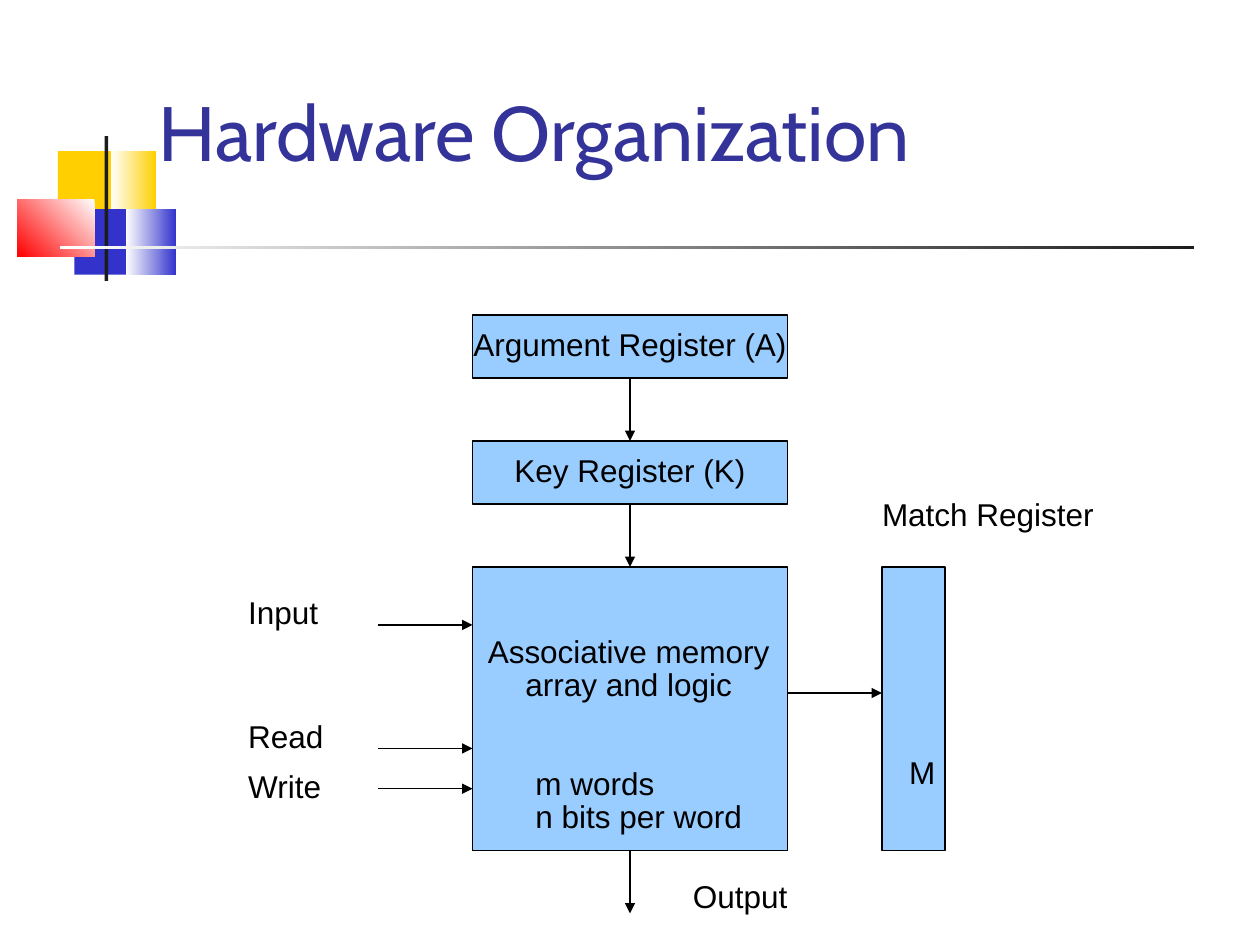
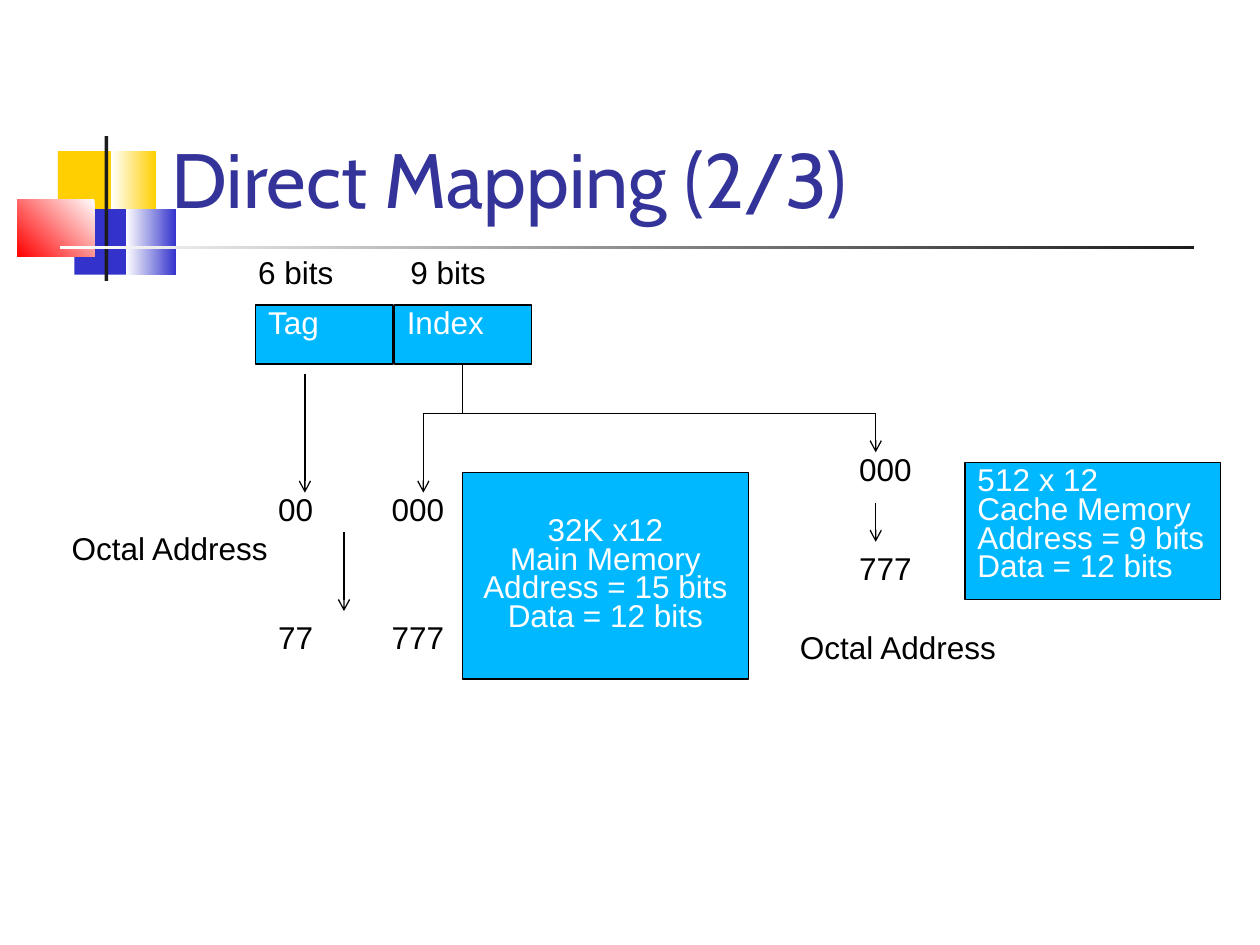
from dataclasses import dataclass

from pptx import Presentation
from pptx.dml.color import RGBColor
from pptx.enum.shapes import MSO_CONNECTOR, MSO_SHAPE
from pptx.enum.text import MSO_ANCHOR, MSO_AUTO_SIZE, PP_ALIGN
from pptx.oxml.ns import qn
from pptx.shapes.autoshape import Shape
from pptx.slide import Slide, SlideLayout
from pptx.text.text import TextFrame
from pptx.util import Emu, Pt
from lxml.etree import SubElement

PX = 9144  # 100 px to the inch
BLACK, WHITE, INK = "000000", "FFFFFF", "1C1C1C"
YELLOW, BLUE, RED = "FFCF01", "3333CC", "FF0000"
TITLE_BLUE, PALE_BLUE, SKY_BLUE = "333399", "99CCFF", "00B8FF"
BODY_FONT, TITLE_FONT = "Arial", "Cabin"
NO_INSETS, INSETS = (0, 0, 0, 0), (10, 5, 10, 5)
LEFT, CENTER = PP_ALIGN.LEFT, PP_ALIGN.CENTER
TOP, MIDDLE, BOTTOM = MSO_ANCHOR.TOP, MSO_ANCHOR.MIDDLE, MSO_ANCHOR.BOTTOM


@dataclass(frozen=True)
class Band:
    x: int
    y: int
    w: int
    h: int
    start: str
    end: str = ""
    angle: int = 180


@dataclass(frozen=True)
class Para:
    text: str
    align: PP_ALIGN = LEFT
    indent: int = 0
    before: int = 0
    tab: int = 0


@dataclass(frozen=True)
class Box:
    """A filled box, or a plain label when it has no fill."""
    x: int
    y: int
    w: int
    h: int
    paras: tuple[Para, ...]
    fill: str = ""
    color: str = BLACK
    anchor: MSO_ANCHOR = TOP
    insets: tuple[int, int, int, int] = NO_INSETS
    spacing: float = 0.87
    wrap: bool = True


@dataclass(frozen=True)
class Line:
    x1: int
    y1: int
    x2: int
    y2: int
    head: str = ""


BANDS = (
    Band(46, 120, 48, 52, YELLOW),
    Band(88, 120, 36, 52, YELLOW, WHITE),
    Band(59, 166, 46, 52, BLUE),
    Band(100, 166, 40, 52, BLUE, WHITE),
    Band(14, 158, 61, 46, WHITE, RED, 225),
    Band(83, 108, 3, 115, INK),
    Band(48, 195, 900, 3, INK, WHITE),
)


def px(*lengths: int) -> list[Emu]:
    return [Emu(n * PX) for n in lengths]


def rgb(color: str) -> RGBColor:
    return RGBColor.from_string(color)


def write(tf: TextFrame, paras: tuple[Para, ...], *, size: int = 18,
          font: str = BODY_FONT, color: str = BLACK, spacing: float = 0.87,
          anchor: MSO_ANCHOR = TOP, insets: tuple[int, int, int, int] = NO_INSETS,
          wrap: bool = True) -> None:
    tf.auto_size = MSO_AUTO_SIZE.NONE
    tf.word_wrap = wrap
    tf.vertical_anchor = anchor
    tf.margin_left, tf.margin_top, tf.margin_right, tf.margin_bottom = px(*insets)
    for i, para in enumerate(paras):
        p = tf.add_paragraph() if i else tf.paragraphs[0]
        pPr = p._p.get_or_add_pPr()
        if para.indent:
            pPr.set("marL", str(para.indent * PX))
        if para.tab:
            tabs = SubElement(pPr, qn("a:tabLst"))
            SubElement(tabs, qn("a:tab"), pos=str(para.tab * PX), algn="l")
        p.alignment = para.align
        p.line_spacing = spacing
        p.space_before = Pt(para.before)
        r = p.add_run()
        r.text = para.text
        r.font.size, r.font.name = Pt(size), font
        r.font.color.rgb = rgb(color)


def add_rect(s: Slide, x: int, y: int, w: int, h: int) -> Shape:
    sp = s.shapes.add_shape(MSO_SHAPE.RECTANGLE, *px(x, y, w, h))
    sp.shadow.inherit = False
    return sp


def add_bands(s: Slide, layout: SlideLayout) -> None:
    """Draw the bands on a slide, then move them to the layout all slides use."""
    for band in BANDS:
        sp = add_rect(s, band.x, band.y, band.w, band.h)
        sp.line.fill.background()
        if band.end:
            sp.fill.gradient()
            sp.fill.gradient_angle = band.angle
            for stop, color in zip(sp.fill.gradient_stops, (band.start, band.end)):
                stop.color.rgb = rgb(color)
            sp.fill.gradient_stops[0].position = 0
            sp.fill.gradient_stops[1].position = 1
        else:
            sp.fill.solid()
            sp.fill.fore_color.rgb = rgb(band.start)
        layout.shapes._spTree.append(sp._element)


def add_title(s: Slide, text: str, **fmt) -> None:
    title = s.shapes.title
    title.left, title.top, title.width, title.height = px(126, 23, 852, 160)
    write(title.text_frame, (Para(text),), size=44, font=TITLE_FONT,
          color=TITLE_BLUE, **fmt)


def add_box(s: Slide, box: Box) -> None:
    if box.fill:
        sp = add_rect(s, box.x, box.y, box.w, box.h)
        sp.fill.solid()
        sp.fill.fore_color.rgb = rgb(box.fill)
        sp.line.color.rgb = rgb(BLACK)
        sp.line.width = Pt(0.75)
    else:
        sp = s.shapes.add_textbox(*px(box.x, box.y, box.w, box.h))
    write(sp.text_frame, box.paras, color=box.color, spacing=box.spacing,
          anchor=box.anchor, insets=box.insets, wrap=box.wrap)


def add_line(s: Slide, line: Line) -> None:
    cxn = s.shapes.add_connector(MSO_CONNECTOR.STRAIGHT,
                                 *px(line.x1, line.y1, line.x2, line.y2))
    cxn.line.color.rgb = rgb(BLACK)
    cxn.line.width = Pt(0.75)
    if line.head:
        SubElement(cxn.line._get_or_add_ln(), qn("a:tailEnd"), type=line.head)
    SubElement(cxn._element.spPr, qn("a:effectLst"))


def register(y: int, text: str) -> Box:
    return Box(375, y, 250, 50, (Para(text, CENTER),), PALE_BLUE, anchor=MIDDLE)


def label(x: int, y: int, w: int, text: str, wrap: bool = True) -> Box:
    return Box(x, y, w, 28, (Para(text),), wrap=wrap)


def address(x: int, y: int, w: int, text: str, tab: int = 0) -> Box:
    return Box(x, y, w, 33, (Para(text, tab=tab),), insets=INSETS, spacing=0.76)


def block(x: int, y: int, w: int, h: int, *lines: str,
          align: PP_ALIGN = LEFT, anchor: MSO_ANCHOR = TOP) -> Box:
    return Box(x, y, w, h, tuple(Para(text, align) for text in lines), SKY_BLUE,
               WHITE, anchor, INSETS, 0.76)


HARDWARE_BOXES = (
    register(250, "Argument Register (A)"),
    register(350, "Key Register (K)"),
    Box(375, 450, 250, 225,
        (Para("Associative memory array and logic", CENTER),
         Para("m words", indent=50, before=38),
         Para("n bits per word", indent=50)),
        PALE_BLUE, anchor=BOTTOM, insets=(0, 0, 2, 12)),
    Box(700, 450, 50, 225, (Para("M", CENTER),), PALE_BLUE,
        anchor=BOTTOM, insets=(14, 0, 0, 47)),
    label(197, 475, 75, "Input"),
    label(197, 573, 75, "Read"),
    label(197, 613, 75, "Write"),
    label(550, 700, 150, "Output"),
    label(700, 397, 168, "Match Register", wrap=False),
)
HARDWARE_LINES = (
    *(Line(500, y, 500, y + 50, "triangle") for y in (300, 400, 675)),
    *(Line(x, y, x + 75, y, "triangle")
      for x, y in ((300, 496), (300, 594), (300, 626), (625, 550))),
)

MAPPING_BOXES = (
    block(203, 242, 109, 47, "Tag"),
    block(313, 242, 109, 47, "Index"),
    block(367, 375, 227, 164, "32K x12", "Main Memory", "Address = 15 bits",
          "Data = 12 bits", align=CENTER, anchor=MIDDLE),
    block(766, 367, 203, 109, "512 x 12", "Cache Memory", "Address = 9 bits",
          "Data = 12 bits"),
    address(195, 203, 234, "6 bits\t9 bits", tab=121),
    address(211, 391, 180, "00\t000", tab=90),
    address(211, 492, 180, "77\t777", tab=90),
    address(672, 359, 86, "000"),
    address(672, 438, 86, "777"),
    address(47, 422, 195, "Octal Address"),
    address(625, 500, 195, "Octal Address"),
)
MAPPING_LINES = (
    Line(273, 422, 273, 485, "arrow"),
    Line(242, 297, 242, 391, "arrow"),
    Line(695, 399, 695, 430, "arrow"),
    Line(367, 289, 367, 328),
    Line(336, 328, 695, 328),
    Line(336, 328, 336, 391, "arrow"),
    Line(695, 328, 695, 359, "arrow"),
)


def main() -> None:
    prs = Presentation()
    prs.slide_width, prs.slide_height = px(1000, 750)
    layout = prs.slide_layouts[5]
    slides = (
        ("Hardware Organization", dict(anchor=MIDDLE, spacing=1.02),
         HARDWARE_BOXES, HARDWARE_LINES),
        ("Direct Mapping (2/3)", dict(anchor=BOTTOM, insets=INSETS, spacing=1.04),
         MAPPING_BOXES, MAPPING_LINES),
    )
    for i, (title, title_format, boxes, lines) in enumerate(slides):
        s = prs.slides.add_slide(layout)
        if i == 0:
            add_bands(s, layout)
        add_title(s, title, **title_format)
        for box in boxes:
            add_box(s, box)
        for line in lines:
            add_line(s, line)
    prs.save("out.pptx")


if __name__ == "__main__":
    main()
